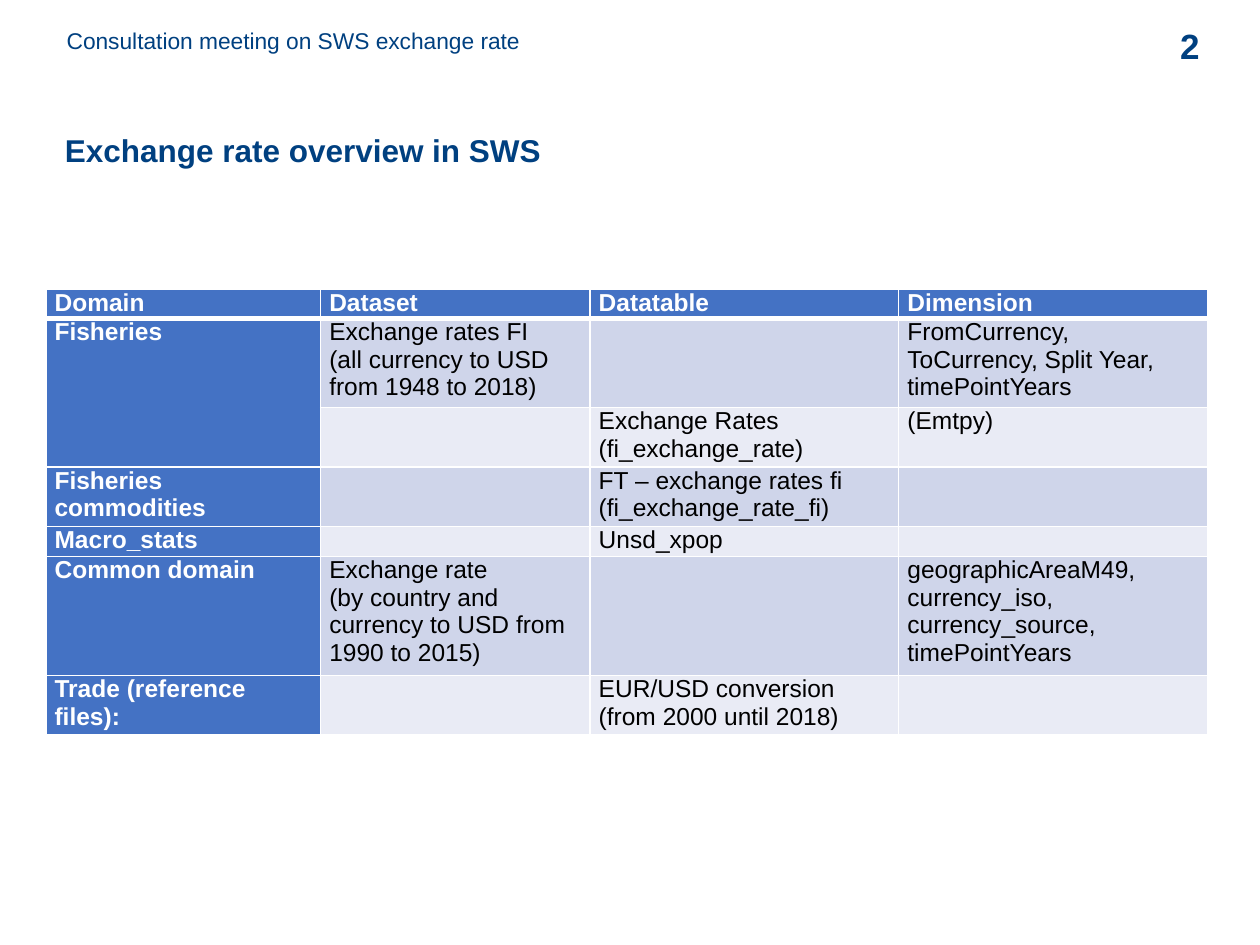
from dataclasses import dataclass

from lxml import etree
from pptx import Presentation
from pptx.dml.color import RGBColor
from pptx.enum.text import MSO_ANCHOR, PP_ALIGN
from pptx.oxml.ns import qn
from pptx.util import Pt

TOP, MIDDLE = MSO_ANCHOR.TOP, MSO_ANCHOR.MIDDLE
LEFT, RIGHT = PP_ALIGN.LEFT, PP_ALIGN.RIGHT
FONT = "Arial"
TABLE_SIZE = 14
COLORS = {
    "navy": "004080",
    "accent": "4472C4",
    "odd_band": "CFD5EA",
    "even_band": "E9EBF5",
    "white": "FFFFFF",
    "black": "000000",
}


@dataclass
class Label:
    text: str
    left: float
    top: float
    width: float
    height: float
    size: float
    bold: bool = False
    align: PP_ALIGN = LEFT
    anchor: MSO_ANCHOR = TOP
    line_spacing: float = 1.0
    space_before: float = 0


@dataclass
class Row:
    height: float
    texts: tuple[str, str, str, str]


LABELS = [
    Label("Consultation meeting on SWS exchange rate", 31, 11.5, 609, 23, 13),
    Label("2", 530.5, 11.5, 162, 29, 20, True, RIGHT, MIDDLE),
    Label("Exchange rate overview in SWS", 30, 73.5, 660, 36, 18, True,
          line_spacing=0.9, space_before=10),
]
COLUMN_WIDTHS = [157, 154, 176.4, 176.4]
ROWS = [
    Row(17, ("Domain", "Dataset", "Datatable", "Dimension")),
    Row(51, ("Fisheries",
             "Exchange rates FI\n(all currency to USD from 1948 to 2018)",
             "",
             "FromCurrency, ToCurrency, Split Year, timePointYears")),
    Row(34, ("", "", "Exchange Rates (fi_exchange_rate)", "(Emtpy)")),
    Row(34, ("Fisheries commodities", "",
             "FT – exchange rates fi\n(fi_exchange_rate_fi)", "")),
    Row(17, ("Macro_stats", "", "Unsd_xpop", "")),
    Row(68, ("Common domain",
             "Exchange rate\n(by country and currency to USD from 1990 to 2015)",
             "",
             "geographicAreaM49, currency_iso, currency_source, timePointYears")),
    Row(34, ("Trade (reference files):", "",
             "EUR/USD conversion (from 2000 until 2018)", "")),
]


def rgb(name: str) -> RGBColor:
    return RGBColor.from_string(COLORS[name])


def add_run(paragraph, text: str, size: float, color: str, bold: bool) -> None:
    run = paragraph.add_run()
    run.text = text
    run.font.name = FONT
    run.font.size = Pt(size)
    run.font.bold = bold
    run.font.color.rgb = rgb(color)


def add_label(slide, label: Label) -> None:
    box = slide.shapes.add_textbox(
        Pt(label.left), Pt(label.top), Pt(label.width), Pt(label.height))
    frame = box.text_frame
    frame.word_wrap = True
    frame.vertical_anchor = label.anchor
    paragraph = frame.paragraphs[0]
    paragraph.alignment = label.align
    paragraph.line_spacing = label.line_spacing
    paragraph.space_before = Pt(label.space_before)
    add_run(paragraph, label.text, label.size, "navy", label.bold)


def set_borders(cell, widths: dict[str, float]) -> None:
    properties = cell._tc.get_or_add_tcPr()
    for side, width in widths.items():
        line = etree.SubElement(properties, qn(f"a:ln{side}"), w=str(Pt(width)))
        fill = etree.SubElement(line, qn("a:solidFill"))
        etree.SubElement(fill, qn("a:srgbClr"), val=COLORS["white"])


def fill_cell(cell, text: str, row: int, column: int) -> None:
    heading = row == 0 or column == 0
    band = "odd_band" if row % 2 else "even_band"
    cell.margin_left = cell.margin_right = Pt(5)
    cell.margin_top = cell.margin_bottom = Pt(0)
    set_borders(cell, {"L": 1, "R": 1,
                       "T": 3 if row == 1 else 1,
                       "B": 3 if row == 0 else 1})
    cell.fill.solid()
    cell.fill.fore_color.rgb = rgb("accent" if heading else band)
    frame = cell.text_frame
    if not text:
        etree.SubElement(frame.paragraphs[0]._p, qn("a:endParaRPr"),
                         sz=str(TABLE_SIZE * 100))
        return
    for index, line in enumerate(text.split("\n")):
        paragraph = frame.add_paragraph() if index else frame.paragraphs[0]
        add_run(paragraph, line, TABLE_SIZE,
                "white" if heading else "black", heading)


def add_overview(slide, left: float, top: float) -> None:
    table = slide.shapes.add_table(
        len(ROWS), len(COLUMN_WIDTHS), Pt(left), Pt(top),
        Pt(sum(COLUMN_WIDTHS)), Pt(sum(row.height for row in ROWS))).table
    for column, width in zip(table.columns, COLUMN_WIDTHS):
        column.width = Pt(width)
    for row_index, row in enumerate(ROWS):
        table.rows[row_index].height = Pt(row.height)
        for column_index, text in enumerate(row.texts):
            fill_cell(table.cell(row_index, column_index), text,
                      row_index, column_index)
    table.cell(1, 0).merge(table.cell(2, 0))


def main() -> None:
    deck = Presentation()
    deck.slide_width, deck.slide_height = Pt(720), Pt(540)
    slide = deck.slides.add_slide(deck.slide_layouts[6])
    for label in LABELS:
        add_label(slide, label)
    add_overview(slide, 26.2, 165)
    deck.save("out.pptx")


if __name__ == "__main__":
    main()
